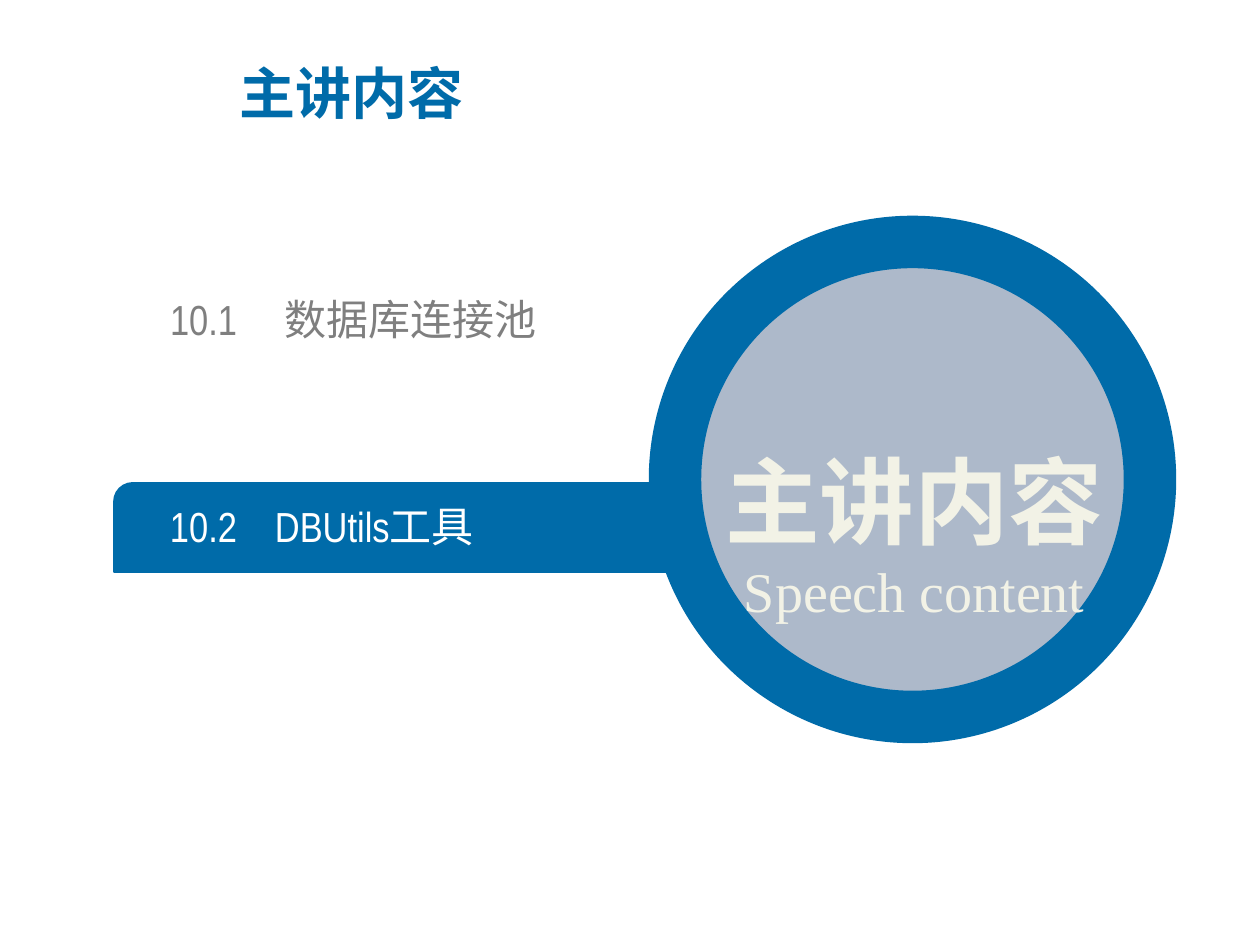
from lxml import etree
from pptx import Presentation
from pptx.dml.color import RGBColor
from pptx.enum.shapes import MSO_SHAPE
from pptx.enum.text import MSO_ANCHOR, PP_ALIGN
from pptx.oxml.ns import qn
from pptx.util import Emu, Pt

PX = 914400 / 126
MIDDLE = MSO_ANCHOR.MIDDLE
LEFT, CENTER = PP_ALIGN.LEFT, PP_ALIGN.CENTER

BLUE = RGBColor(0x00, 0x6B, 0xA9)
PALE_BLUE = RGBColor(0xAD, 0xB9, 0xCA)
CREAM = RGBColor(0xF2, 0xF2, 0xE6)
GRAY = RGBColor(0x7F, 0x7F, 0x7F)
WHITE = RGBColor(0xFF, 0xFF, 0xFF)

CHINESE_FONT = "Noto Sans CJK SC"
ITEM_FONT = "Arial Narrow"
ENGLISH_FONT = "Times New Roman"

TITLE = "主讲内容"
SUBTITLE = "Speech content"
# number, label, box, offset of the label, colour
ITEMS = [
    ("10.1", "数据库连接池", (170, 294, 600, 50), 115, GRAY),
    ("10.2", "DBUtils工具", (170, 501, 582, 50), 105, WHITE),
]
TITLE_BOX = (227, 54, 682, 77)
BAR_BOX = (114, 483, 788, 89)
CIRCLE_BOX = (675, 242, 475, 475)
CIRCLE_TEXT_BOX = (669, 379, 491, 252)


def px(length):
    return Emu(round(length * PX))


def box_emu(box):
    return [px(length) for length in box]


def add_run(paragraph, text, font_name, size, color, bold=False):
    run = paragraph.add_run()
    run.text = text
    font = run.font
    font.name, font.size, font.bold = font_name, Pt(size), bold
    font.color.rgb = color
    east_asian = etree.Element(qn("a:ea"), typeface=CHINESE_FONT)
    font._element.find(qn("a:latin")).addnext(east_asian)


def add_tab_stop(paragraph, position):
    properties = paragraph._p.get_or_add_pPr()
    tabs = etree.SubElement(properties, qn("a:tabLst"))
    etree.SubElement(tabs, qn("a:tab"), pos=str(px(position)), algn="l")


def add_filled_shape(slide, kind, box, fill, line_width):
    shape = slide.shapes.add_shape(kind, *box_emu(box))
    shape.shadow.inherit = False
    shape.fill.solid()
    shape.fill.fore_color.rgb = fill
    shape.line.color.rgb = BLUE
    shape.line.width = Pt(line_width)
    return shape


def add_text_frame(slide, box):
    frame = slide.shapes.add_textbox(*box_emu(box)).text_frame
    frame.word_wrap = True
    frame.vertical_anchor = MIDDLE
    return frame


def add_title(slide):
    title = slide.shapes.title
    title.left, title.top, title.width, title.height = box_emu(TITLE_BOX)
    title.text_frame.vertical_anchor = MIDDLE
    paragraph = title.text_frame.paragraphs[0]
    paragraph.alignment = LEFT
    add_run(paragraph, TITLE, CHINESE_FONT, 32, BLUE, bold=True)


def add_item(slide, number, label, box, label_offset, color):
    frame = add_text_frame(slide, box)
    frame.margin_left = frame.margin_right = 0
    frame.margin_top = frame.margin_bottom = 0
    paragraph = frame.paragraphs[0]
    add_tab_stop(paragraph, label_offset)
    add_run(paragraph, f"{number}\t{label}", ITEM_FONT, 24, color)


def add_circle_text(slide):
    frame = add_text_frame(slide, CIRCLE_TEXT_BOX)
    heading, subtitle = frame.paragraphs[0], frame.add_paragraph()
    heading.alignment = subtitle.alignment = CENTER
    heading.line_spacing = 1.5
    add_run(heading, TITLE, CHINESE_FONT, 54, CREAM, bold=True)
    add_run(subtitle, SUBTITLE, ENGLISH_FONT, 32, CREAM)


def main():
    presentation = Presentation()
    presentation.slide_width, presentation.slide_height = px(1260), px(945)
    slide = presentation.slides.add_slide(presentation.slide_layouts[5])
    add_title(slide)
    bar = add_filled_shape(slide, MSO_SHAPE.ROUND_2_DIAG_RECTANGLE, BAR_BOX, BLUE, 1)
    bar.adjustments[0], bar.adjustments[1] = 0.21, 0
    add_filled_shape(slide, MSO_SHAPE.OVAL, CIRCLE_BOX, PALE_BLUE, 30)
    for item in ITEMS:
        add_item(slide, *item)
    add_circle_text(slide)
    presentation.save("out.pptx")


if __name__ == "__main__":
    main()
